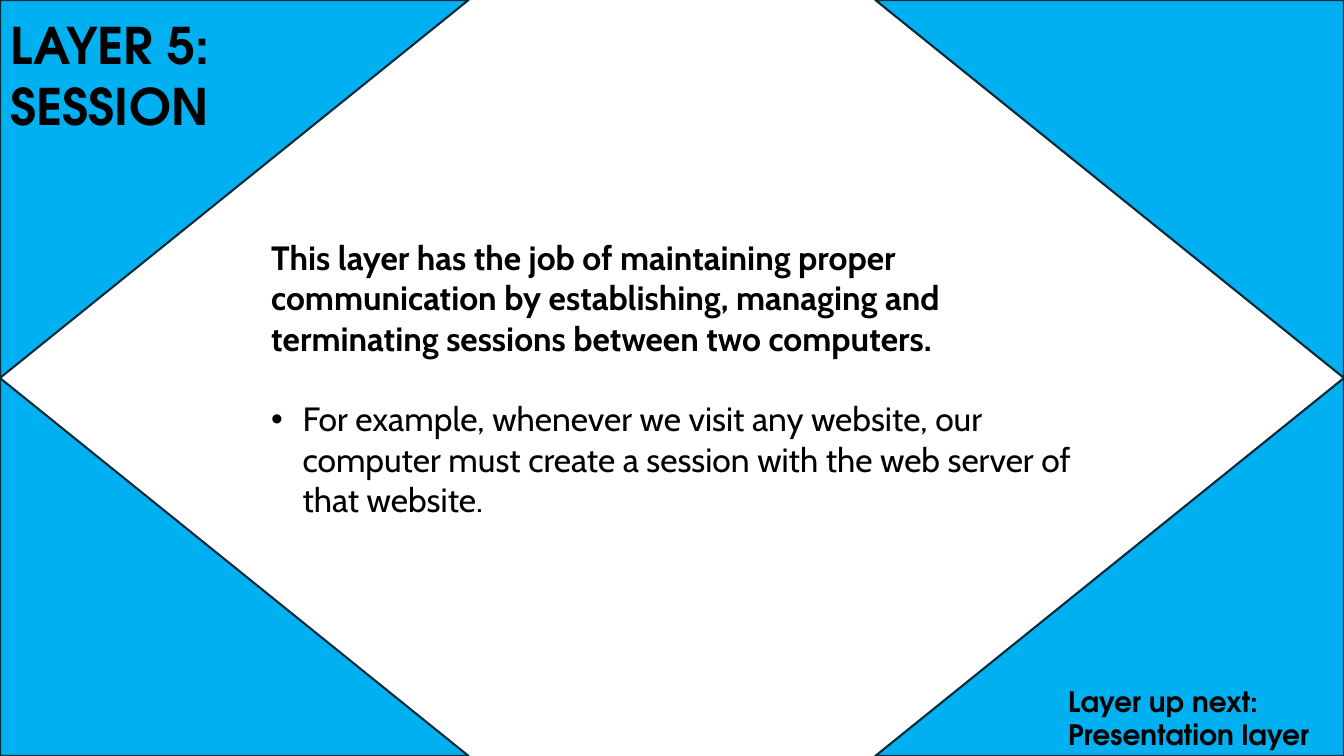
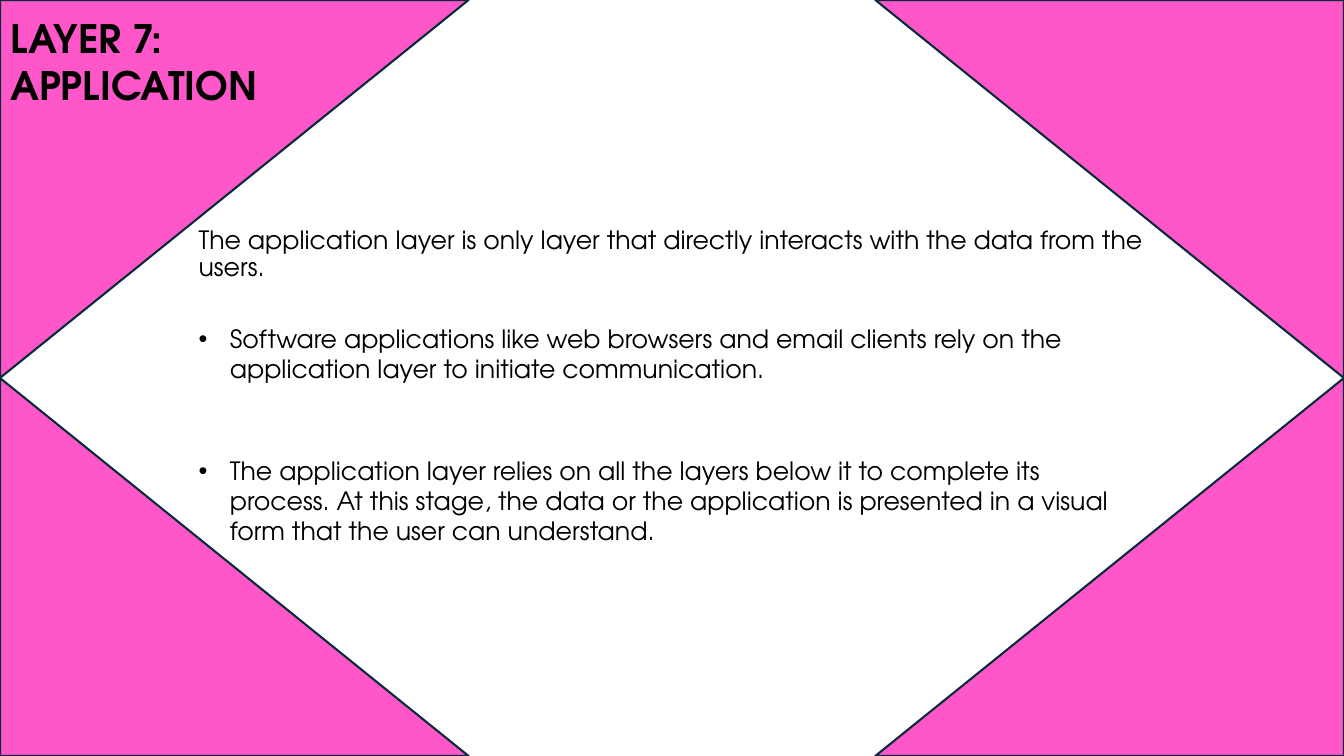
from dataclasses import dataclass

from pptx import Presentation
from pptx.dml.color import RGBColor
from pptx.enum.shapes import MSO_SHAPE as Shape
from pptx.enum.text import MSO_ANCHOR as Anchor, MSO_AUTO_SIZE as AutoSize, PP_ALIGN as Align
from pptx.oxml.ns import qn
from pptx.util import Cm, Pt


@dataclass(frozen=True)
class Theme:
    ink: RGBColor = RGBColor(0, 0, 0)
    outline: RGBColor = RGBColor(0x09, 0x2A, 0x39)
    session: RGBColor = RGBColor(0x00, 0xB0, 0xF0)
    application: RGBColor = RGBColor(0xFF, 0x57, 0xCA)
    display_font: str = "TeX Gyre Adventor"
    reading_font: str = "Cabin"
    next_size: int = 20
    outline_width: float = 1.5


theme = Theme()
SLIDE_W, SLIDE_H = Cm(33.87), Cm(19.05)
CORNER_W, CORNER_H = Cm(11.81), SLIDE_H // 2
BULLET_INDENT = Cm(0.79)

LAYERS = [
    {
        "color": theme.session,
        "title": "LAYER 5: SESSION", "title_size": 36, "title_box": (0, 0.23, 6.9, 3.33),
        "body_box": (6.58, 5.84, 20.7, 7.44),
        "font": theme.reading_font, "size": 24, "intro_bold": True, "intro_spacing": 1.0,
        "intro": "This layer has the job of maintaining proper communication by "
                 "establishing, managing and terminating sessions between two computers.",
        # each bullet with the space before it, in points
        "bullets": [
            (29, "For example, whenever we visit any website, our computer must create "
                 "a session with the web server of that website."),
        ],
        "next": "Layer up next: Presentation layer",
    },
    {
        "color": theme.application,
        "title": "LAYER 7: APPLICATION", "title_size": 28, "title_box": (0, 0.23, 10.4, 3.84),
        "body_box": (4.75, 5.61, 24.38, 8.5),
        "font": theme.display_font, "size": 18, "intro_bold": False, "intro_spacing": 0.9,
        "intro": "The application layer is only layer that directly interacts with the "
                 "data from the users.",
        "bullets": [
            (29.5, "Software applications like web browsers and email clients rely on the "
                   "application layer to initiate communication."),
            (51, "The application layer relies on all the layers below it to complete its "
                 "process. At this stage, the data or the application is presented in a "
                 "visual form that the user can understand."),
        ],
        "next": None,
    },
]


def place(shape, box):
    """Move a text shape to box (cm) and let its text start at the top left."""
    shape.left, shape.top, shape.width, shape.height = (Cm(length) for length in box)
    frame = shape.text_frame
    frame.word_wrap = True
    frame.auto_size = AutoSize.NONE
    frame.vertical_anchor = Anchor.TOP
    return frame


def style(paragraph, font_name, size, bold, before=0, spacing=1.0):
    paragraph.alignment = Align.LEFT
    paragraph.space_before = Pt(before)
    paragraph.line_spacing = spacing
    for run in paragraph.runs:
        run.font.name = font_name
        run.font.size = Pt(size)
        run.font.bold = bold
        run.font.color.rgb = theme.ink


prs = Presentation()
prs.slide_width, prs.slide_height = SLIDE_W, SLIDE_H
title_and_content = prs.slide_layouts[1]

for layer in LAYERS:
    slide = prs.slides.add_slide(title_and_content)
    title, body = slide.shapes.title, slide.placeholders[1]

    # Four corner triangles leave a white diamond, behind the text
    for right in (False, True):
        for bottom in (False, True):
            corner = slide.shapes.add_shape(
                Shape.RIGHT_TRIANGLE,
                SLIDE_W - CORNER_W if right else 0, CORNER_H if bottom else 0,
                CORNER_W, CORNER_H)
            corner.shadow.inherit = False
            corner.fill.solid()
            corner.fill.fore_color.rgb = layer["color"]
            corner.line.color.rgb = theme.outline
            corner.line.width = Pt(theme.outline_width)
            xfrm = corner.element.spPr.xfrm
            xfrm.set("flipH", str(int(right)))
            xfrm.set("flipV", str(int(not bottom)))
            title.element.addprevious(corner.element)

    heading = place(title, layer["title_box"])
    heading.text = layer["title"]
    style(heading.paragraphs[0], theme.display_font, layer["title_size"], True)

    content = place(body, layer["body_box"])
    content.text = layer["intro"]
    intro = content.paragraphs[0]
    style(intro, layer["font"], layer["size"], layer["intro_bold"],
          spacing=layer["intro_spacing"])
    intro_props = intro._p.get_or_add_pPr()
    intro_props.set("marL", "0")
    intro_props.set("indent", "0")
    intro_props.append(intro_props.makeelement(qn("a:buNone"), {}))

    for before, text in layer["bullets"]:
        bullet = content.add_paragraph()
        bullet.text = text
        style(bullet, layer["font"], layer["size"], False, before)
        bullet_props = bullet._p.get_or_add_pPr()
        bullet_props.set("marL", str(BULLET_INDENT))
        bullet_props.set("indent", str(-BULLET_INDENT))
        bullet_props.append(bullet_props.makeelement(qn("a:buChar"), {"char": "•"}))

    if layer["next"]:
        up_next = place(slide.shapes.add_textbox(0, 0, 0, 0), (26.67, 17.12, 7.2, 1.93))
        up_next.text = layer["next"]
        style(up_next.paragraphs[0], theme.display_font, theme.next_size, True)

prs.save("out.pptx")
